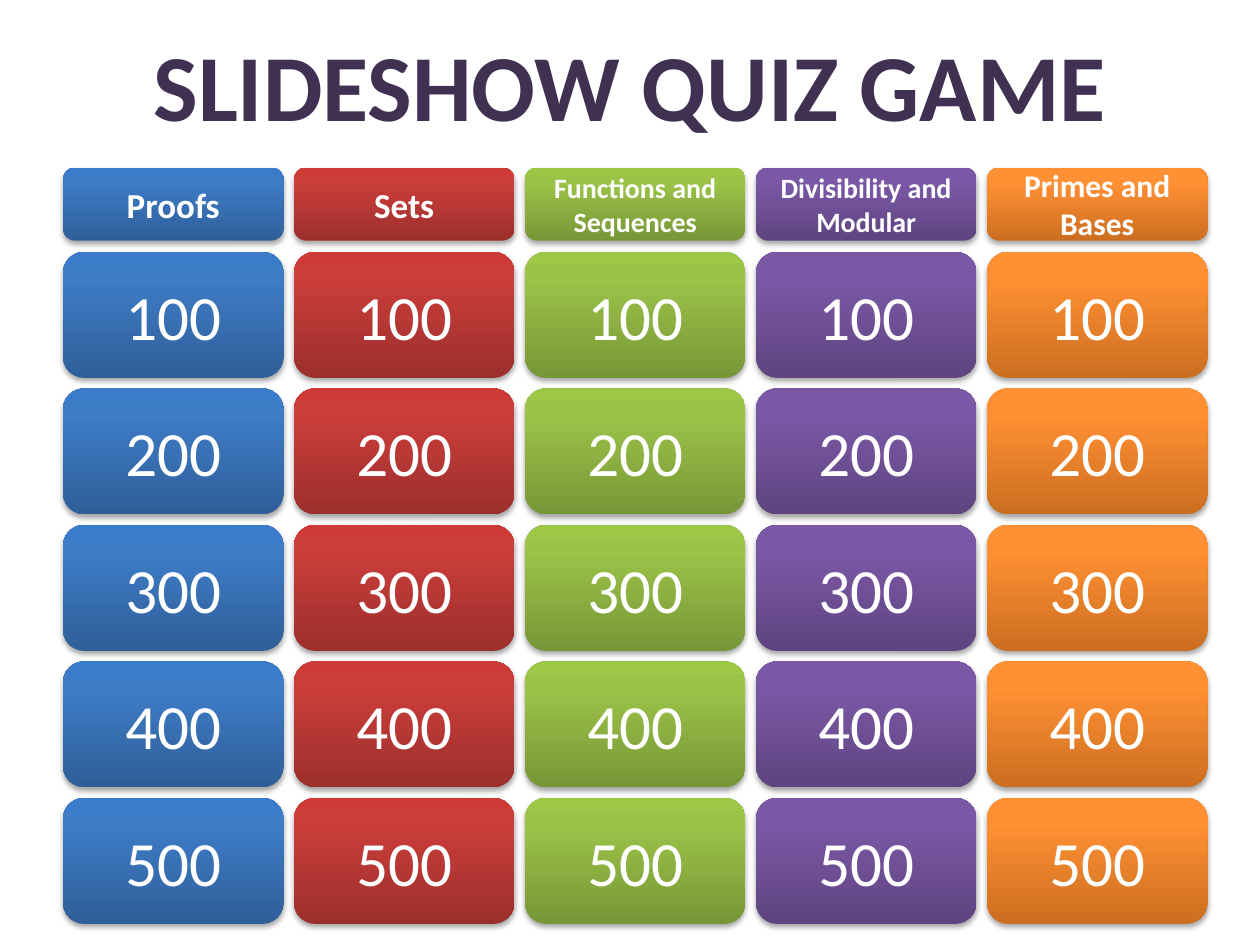
from copy import deepcopy

from pptx import Presentation
from pptx.dml.color import RGBColor
from pptx.enum.shapes import MSO_SHAPE
from pptx.enum.text import MSO_ANCHOR, PP_ALIGN
from pptx.oxml import parse_xml
from pptx.oxml.ns import nsdecls, qn
from pptx.util import Inches, Pt

ROUNDED = MSO_SHAPE.ROUNDED_RECTANGLE
MIDDLE = MSO_ANCHOR.MIDDLE
CENTER = PP_ALIGN.CENTER

LEFT = 0.5
GAP = 1 / 12
TILE_WIDTH, TILE_HEIGHT = 1.75, 1
HEADER_TOP, HEADER_HEIGHT = 1.33, 0.58
TILES_TOP = 2
STOP_POSITIONS = (0, 0.8, 1)

SHADOW = f"""<a:effectLst {nsdecls('a')}>
  <a:outerShdw blurRad="40000" dist="23000" dir="5400000" rotWithShape="0">
    <a:srgbClr val="000000"><a:alpha val="35000"/></a:srgbClr>
  </a:outerShdw>
</a:effectLst>"""

# Category, header text size, gradient from bottom to top
CATEGORIES = [
    ("Proofs", 20, ("2F5F99", "3D7CC7", "3A7CCB")),
    ("Sets", 20, ("9C2F2D", "CB3E3A", "CE3B37")),
    ("Functions and Sequences", 16, ("779737", "9BC348", "9DC746")),
    ("Divisibility and Modular", 16, ("5F4480", "7B58A6", "7C57A8")),
    ("Primes and Bases", 18, ("CC6E20", "FF9034", "FF9136")),
]
POINTS = (100, 200, 300, 400, 500)


def write_text(box, text, size, color="FFFFFF", bold=False):
    frame = box.text_frame
    frame.word_wrap = True
    frame.vertical_anchor = MIDDLE
    para = frame.paragraphs[0]
    para.alignment = CENTER
    span = para.add_run()
    span.text = text
    span.font.name = "Calibri"
    span.font.size = Pt(size)
    span.font.bold = bold
    span.font.color.rgb = RGBColor.from_string(color)


def add_tile(left, top, height, colors):
    """Add a rounded tile with a vertical three-stop gradient and a soft shadow."""
    tile = page.shapes.add_shape(
        ROUNDED, Inches(left), Inches(top), Inches(TILE_WIDTH), Inches(height))
    tile.line.fill.background()
    tile.fill.gradient()
    tile.fill.gradient_angle = 90
    properties = tile.element.spPr
    stop_list = properties.find(".//" + qn("a:gsLst"))
    stop_list.append(deepcopy(stop_list[-1]))
    for stop, position, color in zip(tile.fill.gradient_stops, STOP_POSITIONS, colors):
        stop.position = position
        stop.color.rgb = RGBColor.from_string(color)
    properties.append(parse_xml(SHADOW))
    return tile


deck = Presentation()
deck.slide_width, deck.slide_height = Inches(10), Inches(7.5)
page = deck.slides.add_slide(deck.slide_layouts[6])

title = page.shapes.add_textbox(Inches(0.5), Inches(0), Inches(9), Inches(1.33))
write_text(title, "SLIDESHOW QUIZ GAME", 54, color="403152", bold=True)

for column, (category, size, colors) in enumerate(CATEGORIES):
    left = LEFT + column * (TILE_WIDTH + GAP)
    header = add_tile(left, HEADER_TOP, HEADER_HEIGHT, colors)
    write_text(header, category, size, bold=True)
    for row, points in enumerate(POINTS):
        tile = add_tile(left, TILES_TOP + row * (TILE_HEIGHT + GAP), TILE_HEIGHT, colors)
        write_text(tile, str(points), 36)

deck.save("out.pptx")
